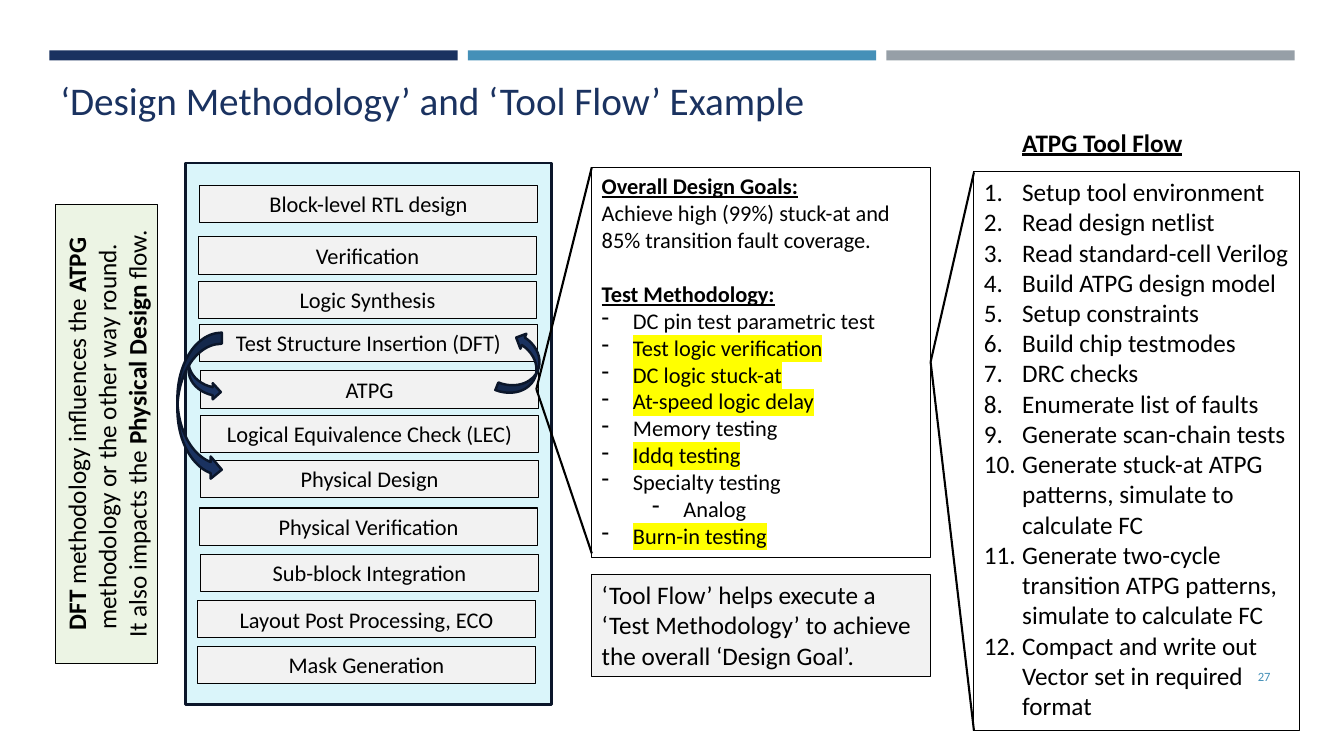
import pptx
import pptx.util
import pptx.dml.color
import pptx.enum.shapes
import pptx.enum.text
import pptx.oxml.ns
import lxml.etree

Inches, Pt = pptx.util.Inches, pptx.util.Pt
SHAPE = pptx.enum.shapes.MSO_SHAPE
ALIGN = pptx.enum.text.PP_ALIGN
ANCHOR = pptx.enum.text.MSO_ANCHOR
qn = pptx.oxml.ns.qn


def rgb(value):
    return pptx.dml.color.RGBColor.from_string(value)


def add_run(p, text, size=18, color="000000", bold=False, underline=False,
            highlight=None, font="Calibri"):
    r = p.add_run()
    r.text = text
    f = r.font
    f.name, f.size, f.bold, f.underline = font, Pt(size), bold, underline
    f.color.rgb = rgb(color)
    if highlight:
        hl = lxml.etree.Element(qn("a:highlight"))
        lxml.etree.SubElement(hl, qn("a:srgbClr"), val=highlight)
        r._r.rPr.find(qn("a:solidFill")).addnext(hl)


def set_bullet(p, kind, value, left, hanging):
    pPr = p._p.get_or_add_pPr()
    pPr.set("marL", str(Inches(left)))
    pPr.set("indent", str(-Inches(hanging)))
    attr = "char" if kind == "buChar" else "type"
    lxml.etree.SubElement(pPr, qn("a:" + kind)).set(attr, value)


class Slide:
    """Holds the colours of the deck and draws elements on the current slide."""

    navy, blue, gray = "1A3260", "4590B8", "969FA7"
    ink, edge = "000000", "0B162A"
    pale, mint, aqua, yellow = "F2F2F2", "ECF4E4", "DAF5FA", "FFFF00"

    def __init__(self, prs):
        self.s = prs.slides.add_slide(prs.slide_layouts[6])

    def shape(self, x, y, w, h, fill=None, line=None, width=0.75,
              kind=SHAPE.RECTANGLE, rotation=0):
        sp = self.s.shapes.add_shape(kind, Inches(x), Inches(y), Inches(w), Inches(h))
        sp.shadow.inherit = False
        sp.rotation = rotation
        if fill:
            sp.fill.solid()
            sp.fill.fore_color.rgb = rgb(fill)
        else:
            sp.fill.background()
        if line:
            sp.line.color.rgb = rgb(line)
            sp.line.width = Pt(width)
        else:
            sp.line.fill.background()
        return sp

    def panel(self, x, y, w, h, fill=None, rotation=0):
        sp = self.shape(x, y, w, h, fill, self.ink, rotation=rotation)
        tf = sp.text_frame
        tf.word_wrap = True
        tf.vertical_anchor = ANCHOR.TOP
        return tf

    def label(self, x, y, w, h, text, anchor=ANCHOR.TOP, align=ALIGN.LEFT,
              wrap=True, **fmt):
        tf = self.s.shapes.add_textbox(Inches(x), Inches(y), Inches(w), Inches(h)).text_frame
        tf.word_wrap = wrap
        tf.vertical_anchor = anchor
        self.paragraph(tf, text, align, **fmt)

    def paragraph(self, tf, text="", align=ALIGN.LEFT, **fmt):
        p = tf.paragraphs[0]
        if p.runs:
            p = tf.add_paragraph()
        p.alignment = align
        if text:
            add_run(p, text, **fmt)
        return p

    def line(self, x1, y1, x2, y2):
        c = self.s.shapes.add_connector(
            pptx.enum.shapes.MSO_CONNECTOR.STRAIGHT,
            Inches(x1), Inches(y1), Inches(x2), Inches(y2))
        c.line.color.rgb = rgb(self.ink)
        c.line.width = Pt(1.5)
        lxml.etree.SubElement(c._element.spPr, qn("a:effectLst"))

    def arrow(self, x, y, w, h, rotation=0):
        self.shape(x, y, w, h, self.navy, self.edge, 1.75,
                   SHAPE.CURVED_RIGHT_ARROW, rotation)


STEPS = [
    ("Block-level RTL design", 1.98, 1.84),
    ("Verification", 1.97, 2.35),
    ("Logic Synthesis", 1.97, 2.79),
    ("Test Structure Insertion (DFT)", 1.98, 3.22),
    ("ATPG", 1.99, 3.68),
    ("Logical Equivalence Check (LEC)", 1.99, 4.12),
    ("Physical Design", 1.99, 4.57),
    ("Physical Verification", 1.98, 5.04),
    ("Sub-block Integration", 1.99, 5.5),
    ("Layout Post Processing, ECO", 1.96, 5.96),
    ("Mask Generation", 1.96, 6.41),
]
TESTS = [
    ("DC pin test parametric test", False),
    ("Test logic verification", True),
    ("DC logic stuck-at", True),
    ("At-speed logic delay", True),
    ("Memory testing", False),
    ("Iddq testing", True),
    ("Specialty testing", False),
    ("Analog", False),
    ("Burn-in testing", True),
]
TOOL_FLOW = [
    "Setup tool environment", "Read design netlist", "Read standard-cell Verilog",
    "Build ATPG design model", "Setup constraints", "Build chip testmodes",
    "DRC checks", "Enumerate list of faults", "Generate scan-chain tests",
    "Generate stuck-at ATPG patterns, simulate to calculate FC",
    "Generate two-cycle transition ATPG patterns, simulate to calculate FC",
    "Compact and write out Vector set in required format",
]
INFLUENCE = [
    [("DFT", True), (" methodology influences the", False), (" ATPG", True),
     (" methodology or the other way round. ", False)],
    [("It also impacts the ", False), ("Physical Design ", True), ("flow.", False)],
]


def main():
    prs = pptx.Presentation()
    prs.slide_width, prs.slide_height = Inches(13.33), Inches(7.5)
    s = Slide(prs)

    for i, color in enumerate((s.navy, s.blue, s.gray)):
        s.shape(0.49 + 4.15 * i, 0.5, 4.05, 0.1, color)
    s.label(0.5, 0.77, 12.06, 0.5, "‘Design Methodology’ and ‘Tool Flow’ Example",
            ANCHOR.BOTTOM, size=28, color=s.navy)

    s.shape(1.84, 1.62, 3.63, 5.37, s.aqua, s.edge, 1.75)
    for text, x, y in STEPS:
        s.paragraph(s.panel(x, y, 3.35, 0.37, s.pale), text, ALIGN.CENTER, size=16)

    for y in (1.66, 5.49):
        s.line(5.32, 3.86, 5.87, y)
    tf = s.panel(5.87, 1.66, 3.36, 3.87)
    s.paragraph(tf, "Overall Design Goals:", size=16, bold=True, underline=True)
    s.paragraph(tf, "Achieve high (99%) stuck-at and 85% transition fault coverage.", size=16)
    p = s.paragraph(tf, "Test Methodology:", size=16, bold=True, underline=True)
    p.space_before = Pt(19.5)
    for text, marked in TESTS:
        p = s.paragraph(tf, text, size=16, highlight=s.yellow if marked else None)
        p.level = 1 if text == "Analog" else 0
        set_bullet(p, "buChar", "-", 0.31 + 0.5 * p.level, 0.31)

    tf = s.panel(9.66, 1.7, 3.23, 5.55)
    for text in TOOL_FLOW:
        set_bullet(s.paragraph(tf, text), "buAutoNum", "arabicPeriod", 0.38, 0.38)
    for y in (1.71, 7.25):
        s.line(9.23, 3.59, 9.66, y)
    s.label(10.04, 1.21, 2.09, 0.4, "ATPG Tool Flow", wrap=False, bold=True, underline=True)

    s.paragraph(s.panel(5.87, 5.7, 3.36, 1.01, s.pale),
                "‘Tool Flow’ helps execute a ‘Test Methodology’ to achieve "
                "the overall ‘Design Goal’.")

    p = s.paragraph(s.panel(-1.22, 3.8, 4.56, 1.01, s.mint, 270), align=ALIGN.CENTER)
    for i, sentence in enumerate(INFLUENCE):
        if i:
            p.add_line_break()
        for text, bold in sentence:
            add_run(p, text, bold=bold)

    s.arrow(1.87, 3.33, 0.32, 0.64)
    s.arrow(5.02, 3.31, 0.32, 0.64, 201.6)
    s.arrow(1.76, 3.3, 0.44, 1.47)
    s.label(11.55, 6.51, 1.15, 0.4, "27", ANCHOR.MIDDLE, ALIGN.RIGHT, size=9, color=s.blue)
    prs.save("out.pptx")


if __name__ == "__main__":
    main()
